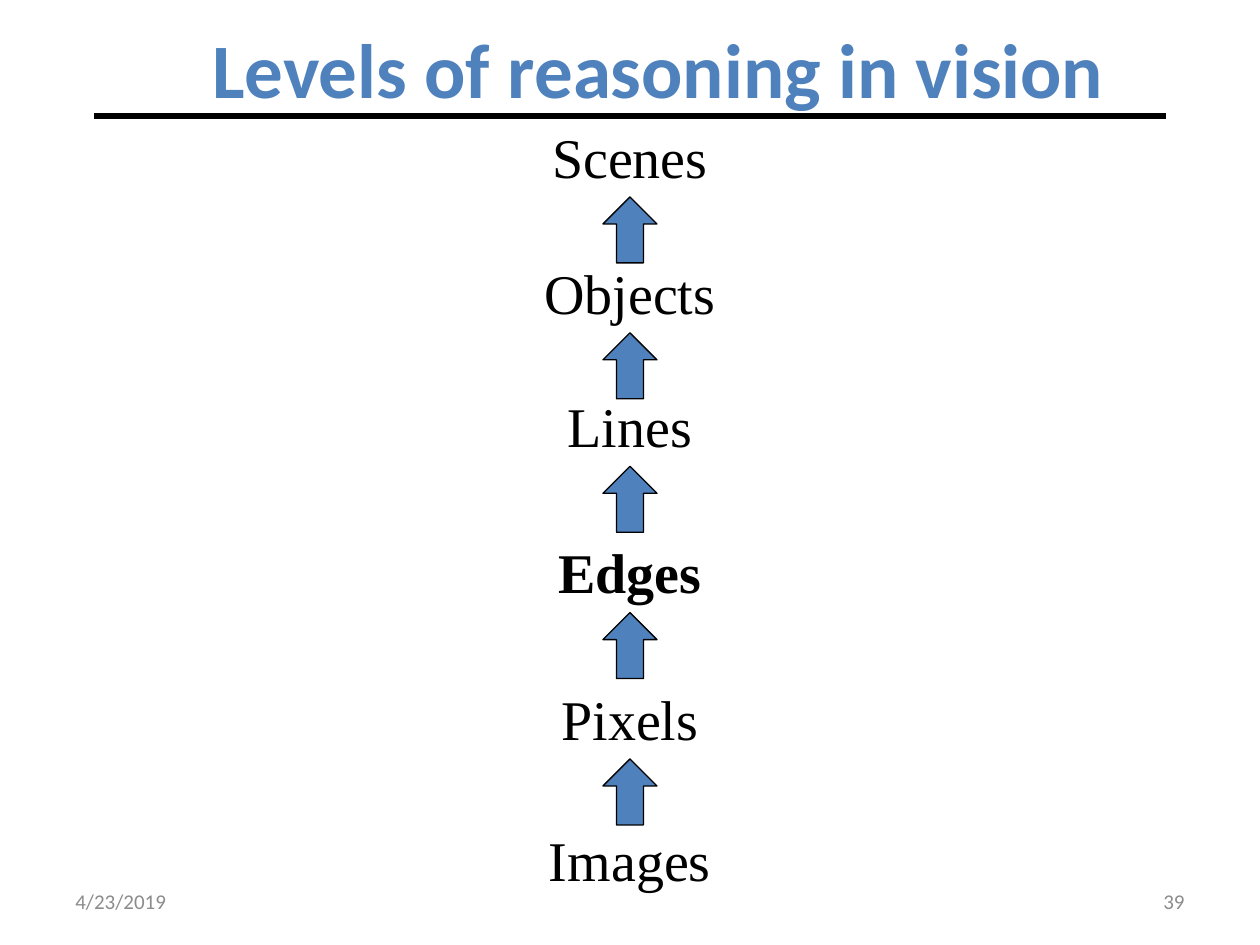
from lxml import etree
from pptx import Presentation
from pptx import util as u
from pptx.dml.color import RGBColor
from pptx.enum import shapes, text
from pptx.oxml.ns import qn

BLUE, BLACK, GREY = "4F81BD", "000000", "8C8C8C"
SLIDE_WIDTH, SLIDE_HEIGHT = 25.4, 19.05
LABEL_WIDTH, LABEL_HEIGHT = 4, 1.63
ARROW_WIDTH, ARROW_HEIGHT = 1.09, 1.33
LEVELS = [
    ("Scenes", 2.34),
    ("Objects", 5.08),
    ("Lines", 7.77),
    ("Edges", 10.72),
    ("Pixels", 13.67),
    ("Images", 16.51),
]
TITLE_FONT = {"name": "Calibri", "size": u.Pt(44), "bold": True}
LEVEL_FONT = {"name": "Times New Roman", "size": u.Pt(32)}
FOOTER_FONT = {"name": "Calibri", "size": u.Pt(12)}


def colour(value):
    return RGBColor.from_string(value)


def set_attributes(target, values):
    for name, value in values.items():
        setattr(target, name, value)


def place(left, top, width, height):
    names = ("left", "top", "width", "height")
    return dict(zip(names, map(u.Cm, (left, top, width, height))))


def write(shape, words, font, font_colour, alignment, frame):
    set_attributes(shape.text_frame, frame)
    paragraph = shape.text_frame.paragraphs[0]
    paragraph.text = words
    paragraph.alignment = alignment
    set_attributes(paragraph.font, font)
    paragraph.font.color.rgb = colour(font_colour)


def add_title(slide, words):
    title = slide.shapes.title
    set_attributes(title, place(1.9, 0.2, 22.86, 2.34))
    frame = {
        "auto_size": text.MSO_AUTO_SIZE.NONE,
        "vertical_anchor": text.MSO_ANCHOR.MIDDLE,
        "margin_right": u.Cm(0.36),
    }
    write(title, words, TITLE_FONT, BLUE, text.PP_ALIGN.CENTER, frame)


def add_title_rule(slide):
    rule = slide.shapes.add_connector(
        shapes.MSO_CONNECTOR.STRAIGHT, u.Cm(1.9), u.Cm(2.34), u.Cm(23.5), u.Cm(2.34)
    )
    rule.line.color.rgb = colour(BLACK)
    rule.line.width = u.Pt(3)
    etree.SubElement(rule.element.spPr, qn("a:effectLst"))
    slide.shapes.title.element.addprevious(rule.element)


def add_level(slide, words, top, bold):
    left = (SLIDE_WIDTH - LABEL_WIDTH) / 2
    label = slide.shapes.add_textbox(**place(left, top, LABEL_WIDTH, LABEL_HEIGHT))
    font = {**LEVEL_FONT, "bold": bold}
    write(label, words, font, BLACK, text.PP_ALIGN.CENTER, {"word_wrap": False})


def add_arrow(slide, top):
    left = (SLIDE_WIDTH - ARROW_WIDTH) / 2
    arrow = slide.shapes.add_shape(
        shapes.MSO_SHAPE.UP_ARROW, **place(left, top, ARROW_WIDTH, ARROW_HEIGHT)
    )
    arrow.shadow.inherit = False
    arrow.fill.solid()
    arrow.fill.fore_color.rgb = colour(BLUE)
    arrow.line.color.rgb = colour(BLACK)
    arrow.line.width = u.Pt(0.75)


def add_footer(slide, words, left, alignment):
    footer = slide.shapes.add_textbox(**place(left, 17.65, 5.93, 1.02))
    frame = {"word_wrap": True, "vertical_anchor": text.MSO_ANCHOR.MIDDLE}
    write(footer, words, FOOTER_FONT, GREY, alignment, frame)


def main():
    presentation = Presentation()
    presentation.slide_width = u.Cm(SLIDE_WIDTH)
    presentation.slide_height = u.Cm(SLIDE_HEIGHT)
    slide = presentation.slides.add_slide(presentation.slide_layouts[5])
    add_title(slide, "Levels of reasoning in vision")
    add_title_rule(slide)
    for words, top in LEVELS:
        add_level(slide, words, top, bold=words == "Edges")
    for _, top in LEVELS[:-1]:
        add_arrow(slide, top + LABEL_HEIGHT)
    add_footer(slide, "4/23/2019", 1.27, text.PP_ALIGN.LEFT)
    add_footer(slide, "39", 18.2, text.PP_ALIGN.RIGHT)
    presentation.save("out.pptx")


if __name__ == "__main__":
    main()
